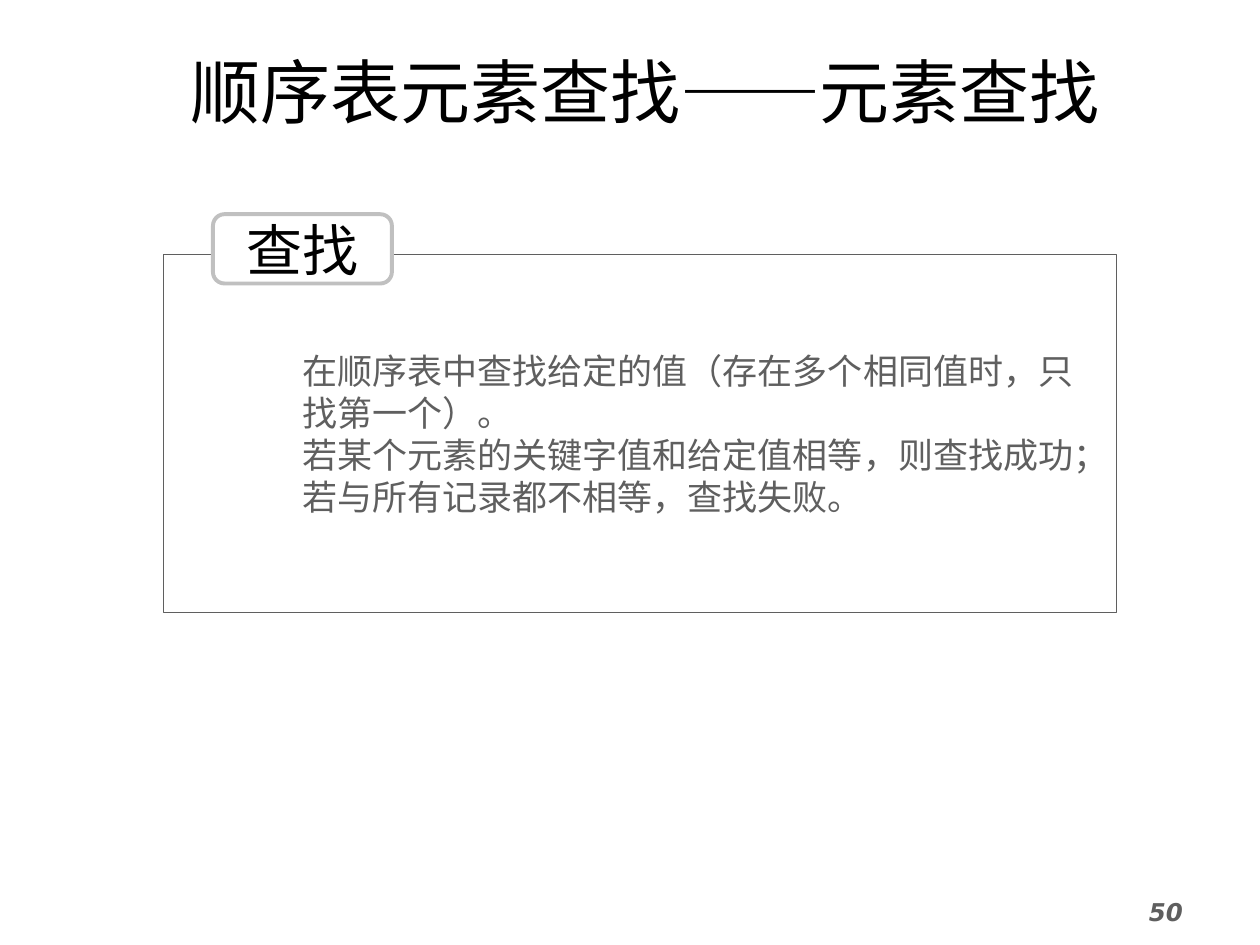
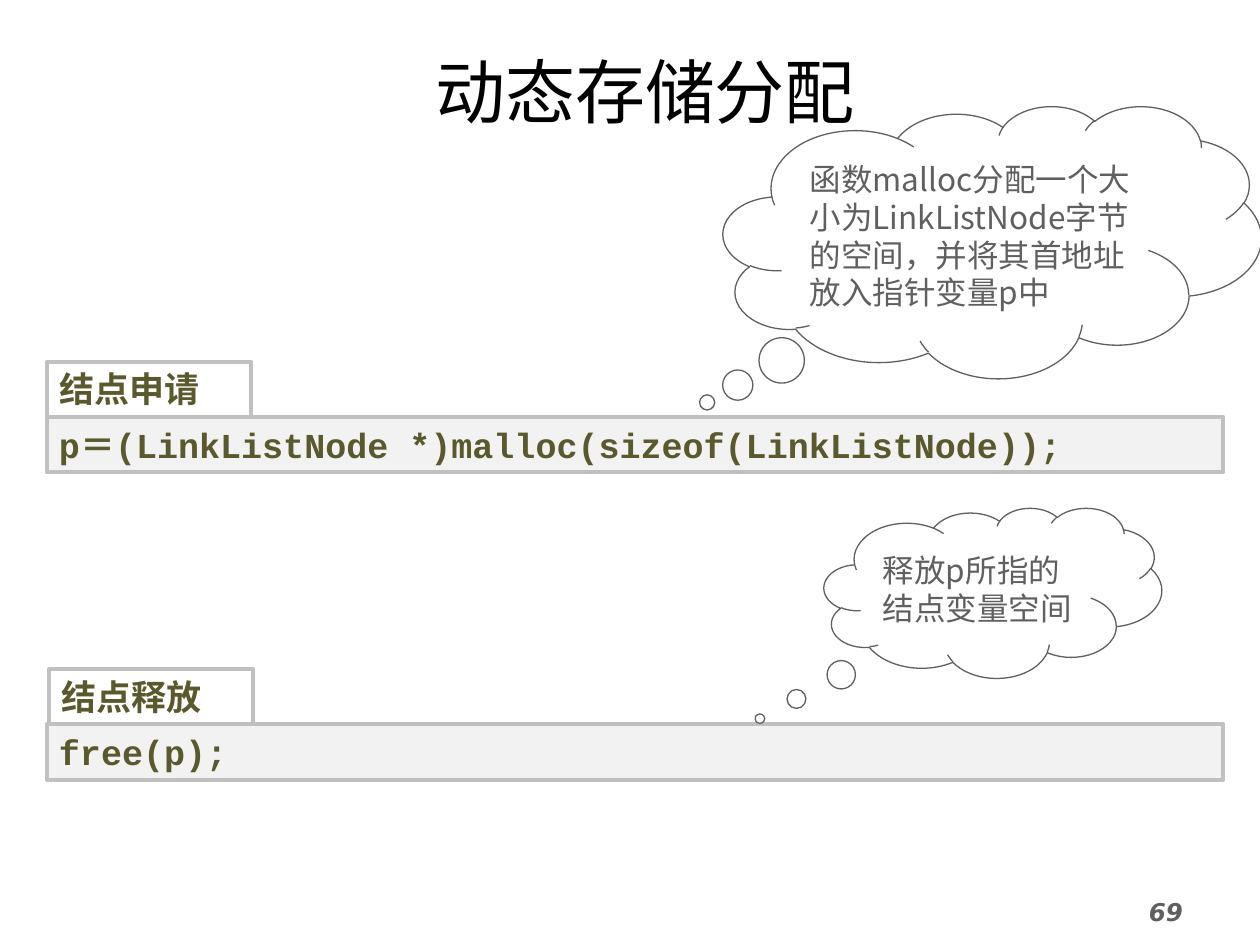
from pptx import Presentation
from pptx.dml.color import RGBColor
from pptx.enum.shapes import MSO_SHAPE
from pptx.enum.text import MSO_ANCHOR, PP_ALIGN
from pptx.oxml.ns import qn
from pptx.util import Pt

RECTANGLE = MSO_SHAPE.RECTANGLE
ROUNDED = MSO_SHAPE.ROUNDED_RECTANGLE
CLOUD = MSO_SHAPE.CLOUD_CALLOUT
TOP, MIDDLE = MSO_ANCHOR.TOP, MSO_ANCHOR.MIDDLE
LEFT, CENTER = PP_ALIGN.LEFT, PP_ALIGN.CENTER

CODE_FONT, CHINESE_FONT, NUMBER_FONT = "Courier New", "Noto Sans CJK SC", "DejaVu Sans"
BLACK, WHITE, GRAY, SILVER, PALE, OLIVE = (
    "000000", "FFFFFF", "5F5F5F", "C0C0C0", "F2F2F2", "5A592D")


def add_box(slide, kind, place, fill=None, line=None, line_width=0.75):
    """Add a shape, or a plain text box when kind is None."""
    lengths = [Pt(value) for value in place]
    if kind is None:
        return slide.shapes.add_textbox(*lengths)
    shape = slide.shapes.add_shape(kind, *lengths)
    shape.shadow.inherit = False
    shape.fill.solid()
    shape.fill.fore_color.rgb = RGBColor.from_string(fill)
    shape.line.color.rgb = RGBColor.from_string(line)
    shape.line.width = Pt(line_width)
    return shape


def write(shape, paragraphs, size, color, anchor=MIDDLE, align=LEFT,
          bold=False, italic=False, wrap=True, indent=0):
    """Write paragraphs, each a list of (text, font) runs."""
    frame = shape.text_frame
    frame.word_wrap = wrap
    frame.vertical_anchor = anchor
    for index, runs in enumerate(paragraphs):
        paragraph = frame.add_paragraph() if index else frame.paragraphs[0]
        paragraph.alignment = align
        if indent:
            paragraph._p.get_or_add_pPr().set("marL", str(Pt(indent)))
        for text, font_name in runs:
            run = paragraph.add_run()
            run.text = text
            font = run.font
            font.name, font.size = font_name, Pt(size)
            font.bold, font.italic = bold, italic
            font.color.rgb = RGBColor.from_string(color)
            east_asian = run._r.rPr.makeelement(qn("a:ea"), {"typeface": CHINESE_FONT})
            run._r.rPr.find(qn("a:latin")).addnext(east_asian)


presentation = Presentation()
presentation.slide_width, presentation.slide_height = Pt(720), Pt(540)

# Title and page number on every slide
pages = [
    ([("顺序表元素查找", CODE_FONT), ("——", CHINESE_FONT), ("元素查找", CODE_FONT)], "50"),
    ([("动态存储分配", CODE_FONT)], "69"),
]
slides = []
for title_runs, number in pages:
    slide = presentation.slides.add_slide(presentation.slide_layouts[6])
    title = add_box(slide, None, (25.2, 23.76, 686.88, 55.44))
    write(title, [title_runs], 40, BLACK, align=CENTER)
    page_number = add_box(slide, None, (649.44, 509.04, 73.44, 30.96))
    write(page_number, [[(number, NUMBER_FONT)]], 14, GRAY, TOP, bold=True, italic=True)
    slides.append(slide)
search_slide, memory_slide = slides

# Search definition panel with its heading on the top edge
definition = add_box(search_slide, RECTANGLE, (93.6, 145.44, 544.32, 204.48), WHITE, GRAY)
write(definition, [
    [("在顺序表中查找给定的值（存在多个相同值时，只找第一个）。", CODE_FONT)],
    [("若某个元素的关键字值和给定值相等，则查找成功；若与所有记录都不相等，查找失败。", CODE_FONT)],
], 20, GRAY, indent=72)
heading = add_box(search_slide, ROUNDED, (121.68, 122.4, 102.24, 39.6), WHITE, SILVER, 2.25)
write(heading, [[("查找", CHINESE_FONT)]], 32, BLACK, align=CENTER, wrap=False)

# Code bars, each under its label
BAR_LEFT, BAR_HEIGHT = 26.64, 31.68
code_bars = [
    ("结点申请", BAR_LEFT, 238.32, "p＝(LinkListNode *)malloc(sizeof(LinkListNode));"),
    ("结点释放", BAR_LEFT + 1.44, 414, "free(p);"),
]
for label, label_left, bar_top, code in code_bars:
    for text, left, top, width, fill in [
        (label, label_left, bar_top - BAR_HEIGHT, 116.64, WHITE),
        (code, BAR_LEFT, bar_top, 672.48, PALE),
    ]:
        bar = add_box(memory_slide, RECTANGLE, (left, top, width, BAR_HEIGHT),
                      fill, SILVER, 2.25)
        write(bar, [[(text, CODE_FONT)]], 20, OLIVE, TOP, bold=True)

# Thought clouds pointing at the code
clouds = [
    ((413.28, 60.48, 307.44, 155.52), (-0.53, 0.59),
     "函数malloc分配一个大小为LinkListNode字节的空间，并将其首地址放入指针变量p中"),
    ((470.88, 290.16, 192.96, 97.2), (-0.69, 0.74), "释放p所指的结点变量空间"),
]
for place, tail, text in clouds:
    cloud = add_box(memory_slide, CLOUD, place, WHITE, GRAY)
    cloud.adjustments[0], cloud.adjustments[1] = tail
    write(cloud, [[(text, CHINESE_FONT)]], 18, GRAY)

presentation.save("out.pptx")
